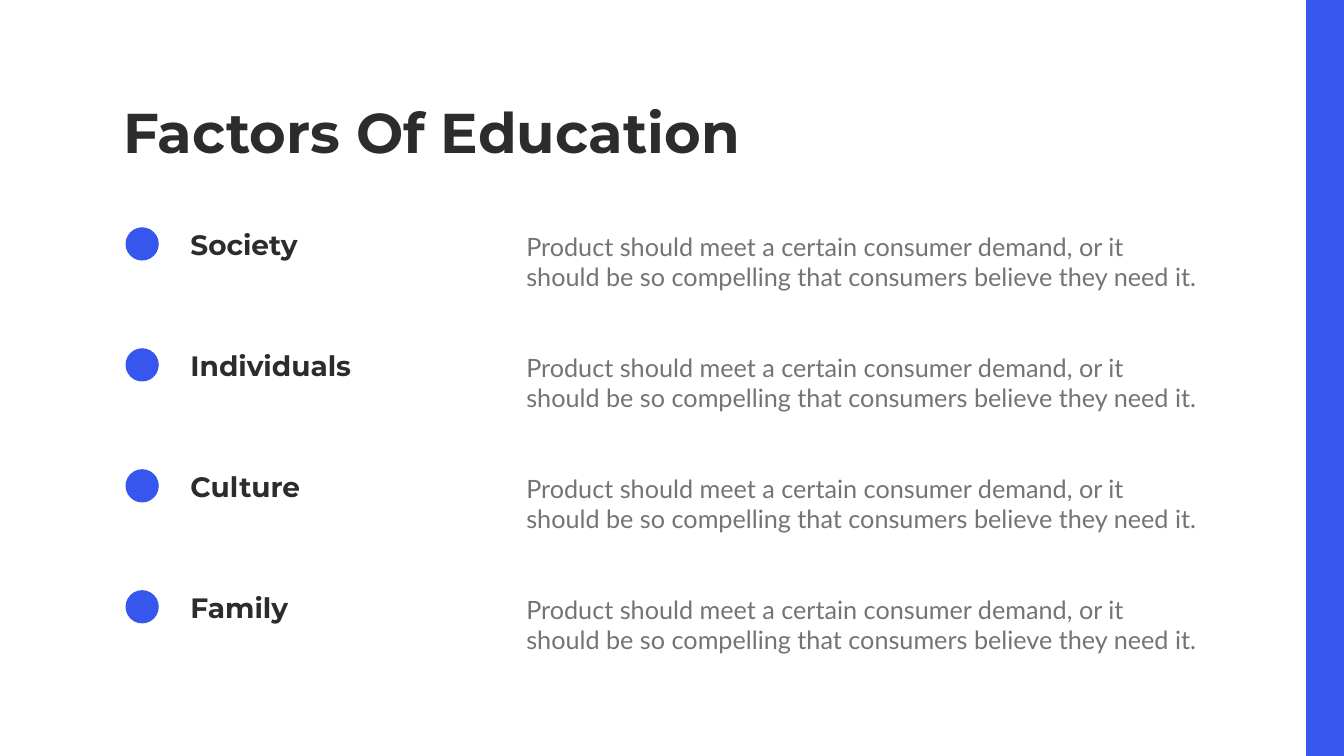
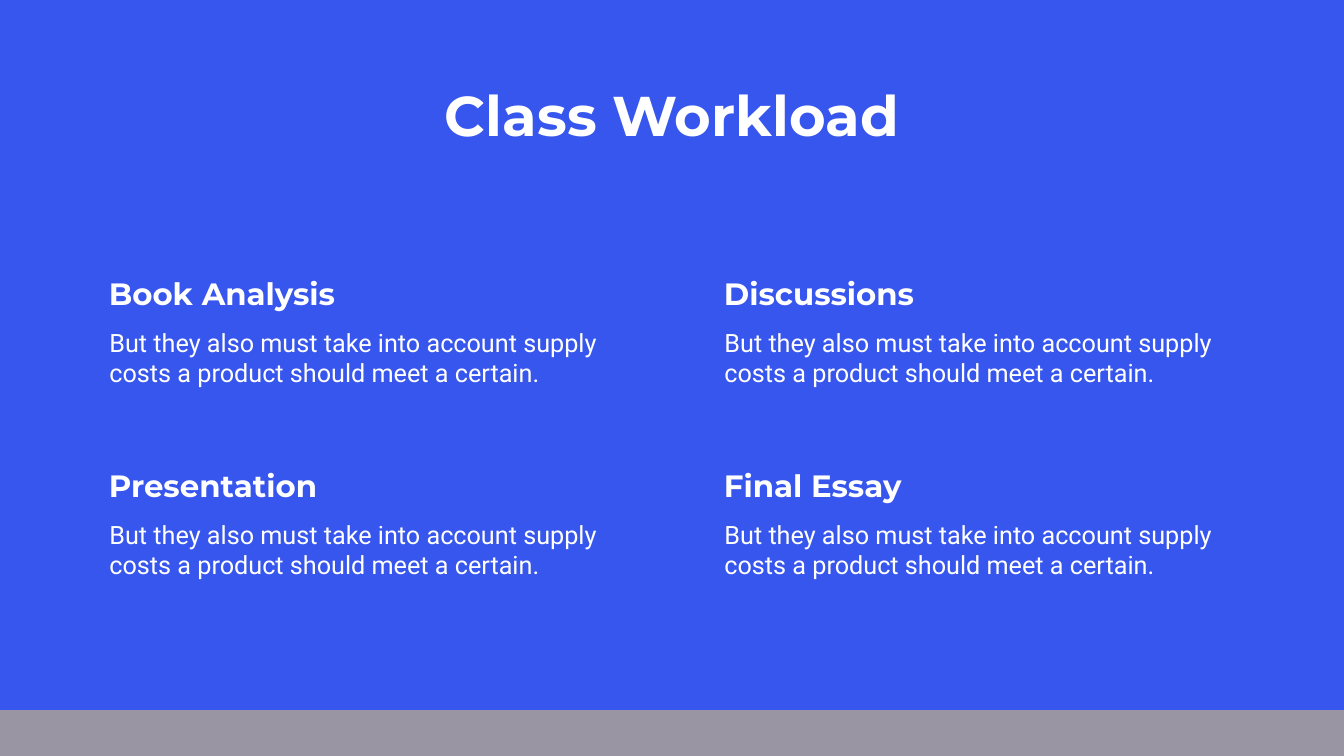
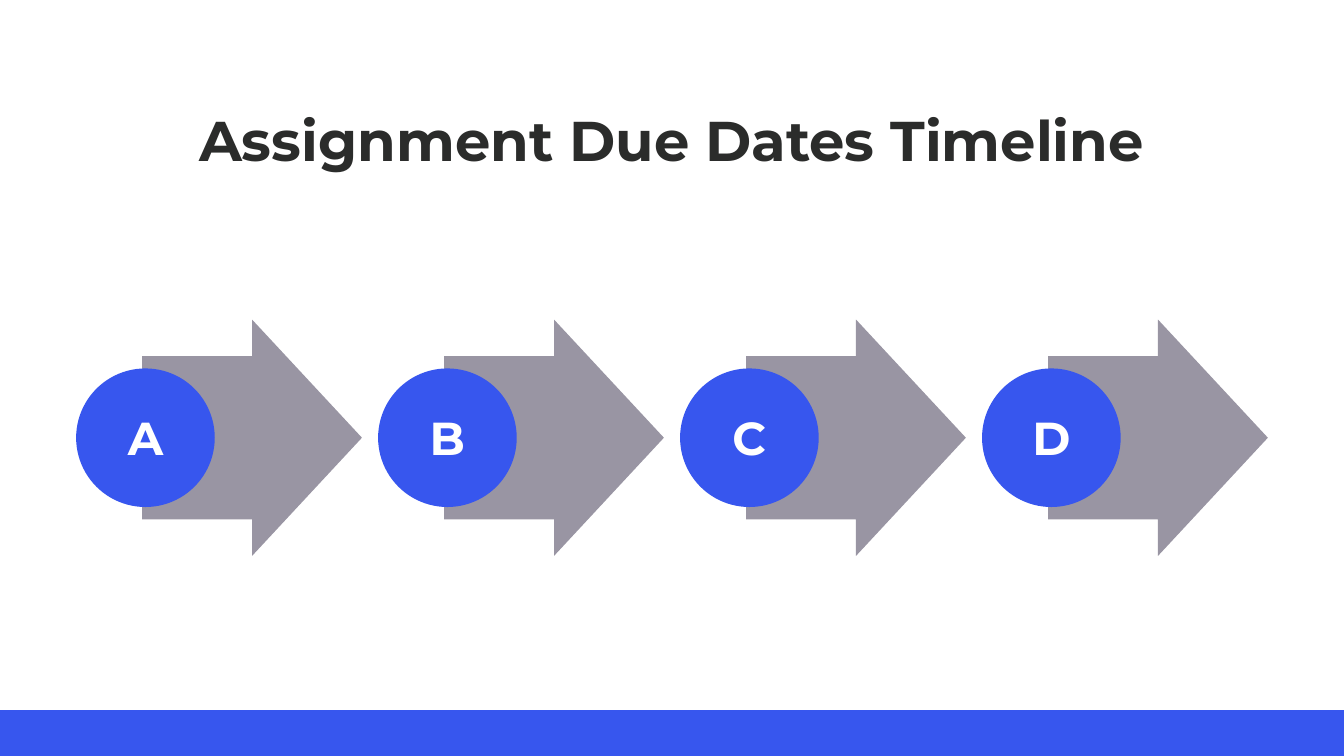
"""Build three education slides: factors, class workload and due dates."""
from pptx import Presentation
from pptx import util as u
from pptx.dml.color import RGBColor
from pptx.enum import shapes, text

BLUE = RGBColor(0x37, 0x56, 0xEE)
GREY = RGBColor(0x99, 0x95, 0xA3)
DARK = RGBColor(0x2B, 0x2C, 0x2B)
MUTED = RGBColor(0x73, 0x75, 0x72)
WHITE = RGBColor(0xFF, 0xFF, 0xFF)
WIDTH, HEIGHT = 26.66, 15
LEFT, CENTER = text.PP_ALIGN.LEFT, text.PP_ALIGN.CENTER
HEADING = {"name": "Montserrat", "bold": True}
BODY_MARGINS = {"margin_left": 0.24, "margin_right": 0.24, "margin_top": 0.12, "margin_bottom": 0.12}


def write(box, at, words, size, color, style, align=LEFT, body=False):
    box.left, box.top, box.width, box.height = map(u.Inches, at)
    frame = box.text_frame
    frame.text = words
    frame.word_wrap = True
    frame.auto_size = text.MSO_AUTO_SIZE.NONE
    frame.vertical_anchor = text.MSO_ANCHOR.TOP
    para = frame.paragraphs[0]
    para.alignment = align
    if body:
        para.line_spacing = u.Pt(43)
        for side, margin in BODY_MARGINS.items():
            setattr(frame, side, u.Inches(margin))
    font = para.runs[0].font
    for key, value in {"size": u.Pt(size), **style}.items():
        setattr(font, key, value)
    font.color.rgb = color


def draw(page, kind, at, color):
    shape = page.shapes.add_shape(kind, *map(u.Inches, at))
    shape.shadow.inherit = False
    shape.fill.solid()
    shape.fill.fore_color.rgb = color
    shape.line.fill.background()
    return shape


deck = Presentation()
deck.slide_width, deck.slide_height = u.Inches(WIDTH), u.Inches(HEIGHT)
RECT, OVAL, ARROW = (shapes.MSO_SHAPE.RECTANGLE, shapes.MSO_SHAPE.OVAL,
                     shapes.MSO_SHAPE.RIGHT_ARROW)
SIDE_BAND = (25.91, 0, 0.75, HEIGHT)
FOOTER = (0, 14.09, WIDTH, 0.91)

pages = []
for title, at, align, title_color, back, band, band_color in [
    ("Factors Of Education", (2.34, 1.89, 13.84, 1.45), LEFT, DARK, WHITE, SIDE_BAND, BLUE),
    ("Class Workload", (7.56, 1.54, 11.54, 1.45), CENTER, WHITE, BLUE, FOOTER, GREY),
    ("Assignment Due Dates Timeline", (3.5, 2.05, 19.66, 1.45), CENTER, DARK, WHITE, FOOTER, BLUE),
]:
    page = deck.slides.add_slide(deck.slide_layouts[5])
    page.background.fill.solid()
    page.background.fill.fore_color.rgb = back
    write(page.shapes.title, at, title, 80, title_color, HEADING, align)
    draw(page, RECT, band, band_color)
    pages.append(page)
factors, workload, timeline = pages

demand = ("Product should meet a certain consumer demand, or it should be so "
          "compelling that consumers believe they need it.")
for row, factor in enumerate(["Society", "Individuals", "Culture", "Family"]):
    top = 4.47 + 2.4 * row
    draw(factors, OVAL, (2.49, top + 0.04, 0.66, 0.66), BLUE)
    label = factors.shapes.add_textbox(0, 0, 0, 0)
    write(label, (3.68, top, 3.77, 0.77), factor, 40, DARK, HEADING)
    detail = factors.shapes.add_textbox(0, 0, 0, 0)
    write(detail, (10.2, top, 13.84, 1.45), demand, 36, MUTED, {"name": "Lato"}, body=True)

supply = "But they also must take into account supply costs a product should meet a certain."
tasks = ["Book Analysis", "Discussions", "Presentation", "Final Essay"]
for index, task in enumerate(tasks):
    row, column = divmod(index, 2)
    left, top = 2.06 + 12.2 * column, 5.4 + 3.81 * row
    heading = workload.shapes.add_textbox(0, 0, 0, 0)
    write(heading, (left, top, 4.77, 0.84), task, 44, WHITE, HEADING)
    detail = workload.shapes.add_textbox(0, 0, 0, 0)
    write(detail, (left - 0.13, top + 0.98, 10.6, 1.45), supply, 36, WHITE,
          {"name": "Roboto"}, body=True)

for step, letter in enumerate("ABCD"):
    left = 1.51 + 5.99 * step
    arrow = draw(timeline, ARROW, (left + 1.31, 6.34, 4.36, 4.69), GREY)
    arrow.adjustments[0], arrow.adjustments[1] = 0.69, 0.5
    draw(timeline, OVAL, (left, 7.31, 2.75, 2.75), BLUE)
    label = timeline.shapes.add_textbox(0, 0, 0, 0)
    write(label, (left + 0.28, 8.08, 2.19, 1.21), letter, 66, WHITE, HEADING, CENTER)

deck.save("out.pptx")
